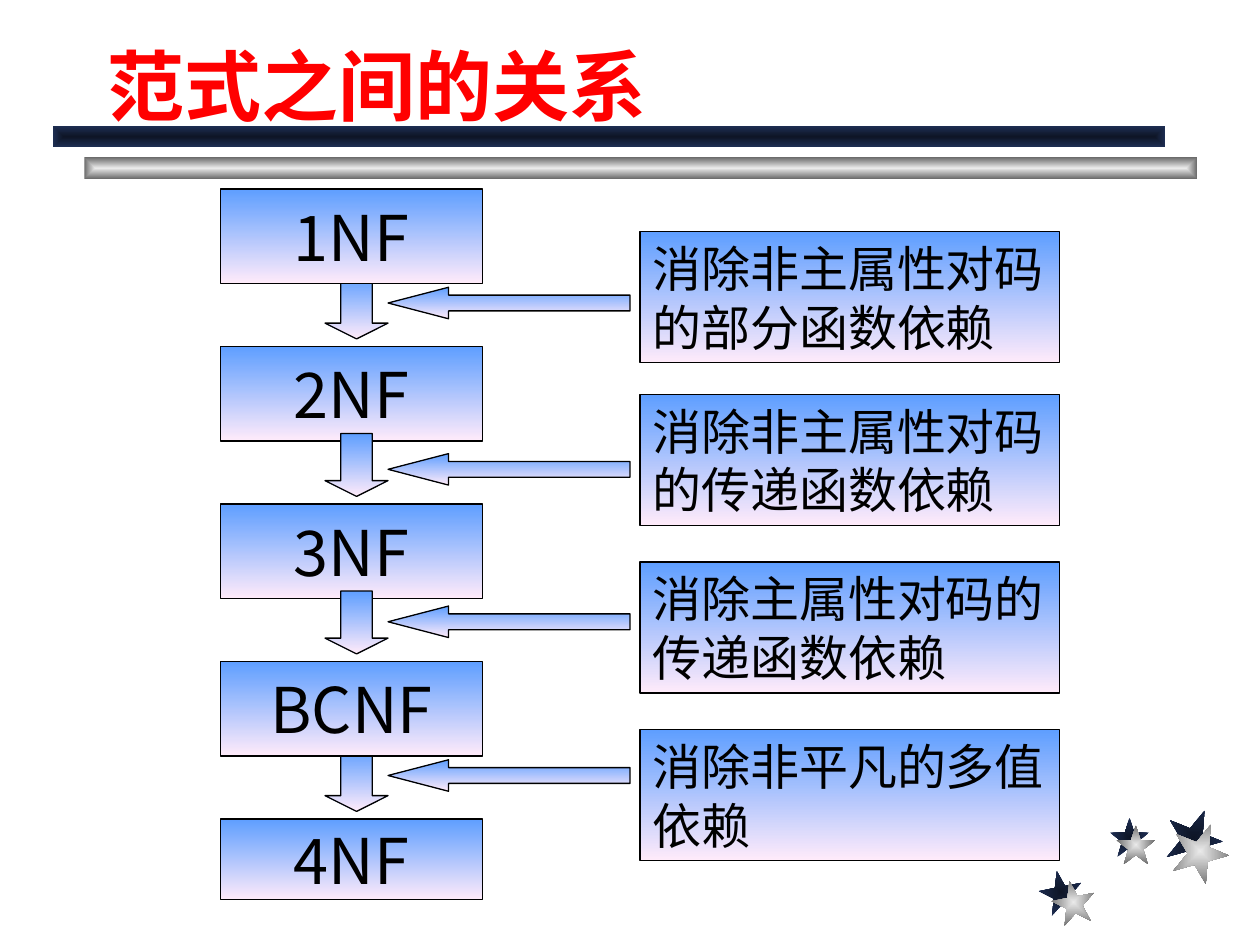
"""Build the slide on the relations between database normal forms."""
from lxml.etree import SubElement
from pptx import Presentation
from pptx.dml.color import RGBColor
from pptx.enum.shapes import MSO_SHAPE as SHAPE
from pptx.enum.text import MSO_ANCHOR as ANCHOR, MSO_AUTO_SIZE as AUTO, PP_ALIGN as ALIGN
from pptx.oxml.ns import qn
from pptx.util import Inches, Pt

NAVY = ("0E1526", "1E2E53")
SILVER = ("EAEAEA", "6C6C6C")
SKY = ("5E9EFF", "FFEBFA")
STAR = [(0, .38), (.38, .38), (.5, 0), (.62, .38), (1, .38),
        (.69, .62), (.81, 1), (.5, .76), (.19, 1), (.31, .62)]


def paint(sp, colors, centred=False):
    sp.shadow.inherit = False
    sp.fill.gradient()
    sp.fill.gradient_angle = 270
    for stop, color in zip(sp.fill.gradient_stops, colors):
        stop.color.rgb = RGBColor.from_string(color)
    if centred:
        sp.line.fill.background()
        grad = sp._element.spPr.find(qn("a:gradFill"))
        grad.remove(grad.find(qn("a:lin")))
        path = SubElement(grad, qn("a:path"), {"path": "rect"})
        SubElement(path, qn("a:fillToRect"), dict.fromkeys("ltrb", "50000"))
    else:
        sp.line.color.rgb = RGBColor.from_string("000000")
        sp.line.width = Pt(0.75)


def write(sp, text, color, align, frame, font):
    tf = sp.text_frame
    for name, value in frame.items():
        setattr(tf, name, value)
    p = tf.paragraphs[0]
    p.alignment = align
    r = p.add_run()
    r.text = text
    for name, value in font.items():
        setattr(r.font, name, value)
    r.font.color.rgb = RGBColor.from_string(color)
    SubElement(r.font._element, qn("a:ea"), {"typeface": "Noto Sans CJK JP"})


prs = Presentation()
prs.slide_width, prs.slide_height = Inches(10), Inches(7.5)
s = prs.slides.add_slide(prs.slide_layouts[5])
shapes = s.shapes

stars = [(8.25, 6.91, .34, 349), (8.81, 6.49, .31, 0), (9.25, 6.42, .45, 22),
         (8.35, 6.99, .34, 349), (8.86, 6.55, .31, 0), (9.3, 6.53, .45, 22)]
for i, (x, y, size, angle) in enumerate(stars):
    points = [(Inches(x + size * u), Inches(y + size * v)) for u, v in STAR]
    fb = shapes.build_freeform(*points[0])
    fb.add_line_segments(points[1:], close=True)
    sp = fb.convert_to_shape()
    sp.rotation = angle
    paint(sp, NAVY if i < 3 else SILVER, centred=True)

for x, y, colors in [(0.67, 1.25, SILVER), (0.42, 1, NAVY)]:
    sp = shapes.add_shape(SHAPE.RECTANGLE, Inches(x), Inches(y), Inches(8.83), Inches(0.17))
    paint(sp, colors, centred=True)

title = shapes.title
title.left, title.top, title.width, title.height = map(Inches, (0.75, 0.17, 8.5, 0.92))
write(title, "范式之间的关系", "FF0000", ALIGN.LEFT,
      {"vertical_anchor": ANCHOR.BOTTOM, "word_wrap": True, "auto_size": AUTO.NONE},
      {"size": Pt(44), "name": "Arial", "bold": True})
shapes._spTree.append(title._element)

forms = ["1NF", "2NF", "3NF", "BCNF", "4NF"]
steps = [("arrow", 0), ("arrow", 3), *(("form", i) for i in range(len(forms))),
         ("arrow", 1), ("arrow", 2)]
for kind, i in steps:
    y = 1.5 + 1.25 * i
    if kind == "arrow":
        sp = shapes.add_shape(SHAPE.DOWN_ARROW, Inches(2.58), Inches(y + 0.69),
                              Inches(0.5), Inches(0.5))
        sp.adjustments[0], sp.adjustments[1] = 0.5, 0.25
        paint(sp, SKY)
    else:
        sp = shapes.add_shape(SHAPE.RECTANGLE, Inches(1.75), Inches(y), Inches(2.08),
                              Inches(0.64 if forms[i] == "4NF" else 0.75))
        paint(sp, SKY)
        write(sp, forms[i], "000000", ALIGN.CENTER,
              {"vertical_anchor": ANCHOR.MIDDLE, "word_wrap": False},
              {"size": Pt(36), "name": "Noto Sans CJK JP"})

notes = [(1.84, 2.28, "消除非主属性对码的部分函数依赖"),
         (3.13, 3.6, "消除非主属性对码的传递函数依赖"),
         (4.46, 4.81, "消除主属性对码的传递函数依赖"),
         (5.79, 6.03, "消除非平凡的多值依赖")]
for y, arrow_y, text in notes:
    sp = shapes.add_shape(SHAPE.RECTANGLE, Inches(5.08), Inches(y), Inches(3.33), Inches(1.04))
    paint(sp, SKY)
    write(sp, text, "000000", ALIGN.LEFT,
          {"vertical_anchor": ANCHOR.MIDDLE, "word_wrap": True,
           "auto_size": AUTO.SHAPE_TO_FIT_TEXT},
          {"size": Pt(28), "name": "Noto Sans CJK JP"})
    sp = shapes.add_shape(SHAPE.LEFT_ARROW, Inches(3.08), Inches(arrow_y),
                          Inches(1.92), Inches(0.25))
    sp.adjustments[0], sp.adjustments[1] = 0.5, 1.92
    paint(sp, SKY)

prs.save("out.pptx")
